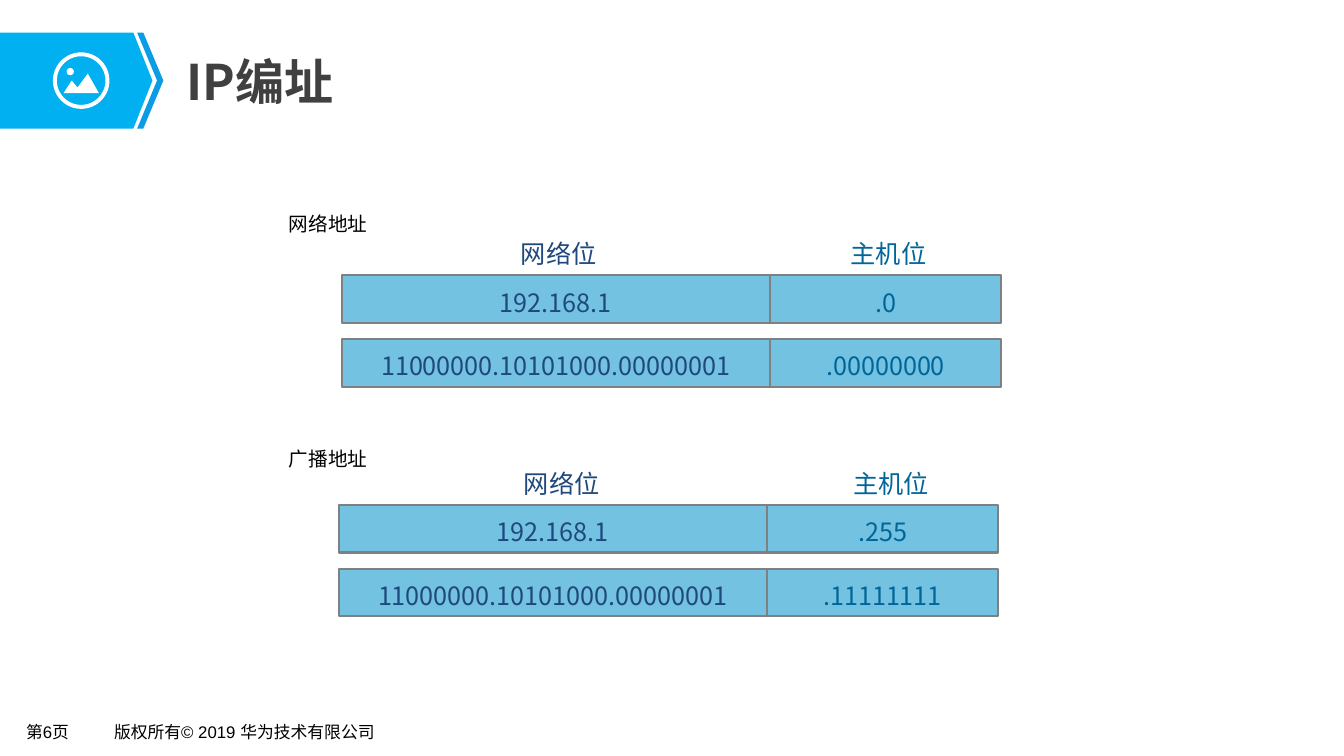
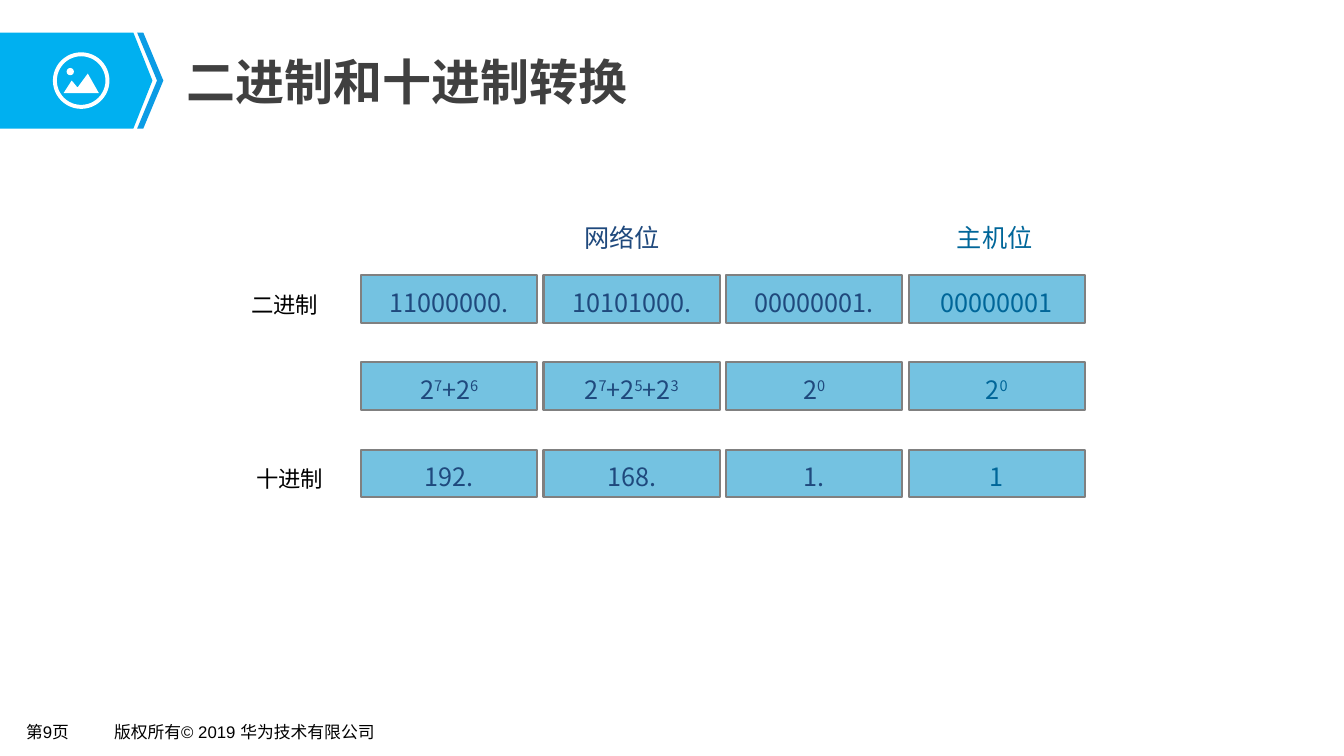
from dataclasses import dataclass

import pptx
import pptx.dml.color
import pptx.enum.shapes
import pptx.enum.text
import pptx.oxml
import pptx.oxml.ns
import pptx.util
from lxml import etree

Pt = pptx.util.Pt
RGBColor = pptx.dml.color.RGBColor
PRESET = pptx.enum.shapes.MSO_SHAPE
ALIGN = pptx.enum.text.PP_ALIGN
ANCHOR = pptx.enum.text.MSO_ANCHOR


@dataclass(frozen=True)
class Theme:
    cjk_font: str = "Noto Sans CJK SC"
    footer_font: str = "Arial"
    black: str = "000000"
    white: str = "FFFFFF"
    title: str = "404040"
    badge: str = "00B0F0"
    badge_edge: str = "0B9CE5"
    network: str = "1F497D"
    host: str = "006699"
    cell: str = "74C2E1"
    cell_line: str = "808080"
    title_size: float = 35
    body_size: float = 18
    row_label_size: float = 16
    caption_size: float = 14
    footer_size: float = 12
    line_spacing: float = 1.2
    cell_height: float = 34


THEME = Theme()


def write_text(shape, text, *, size=THEME.body_size, color=THEME.black,
               font=THEME.cjk_font, bold=False, align=ALIGN.CENTER,
               spacing=None, insets=(7.2, 3.6), wrap=False):
    """Write one paragraph; the character after each ^ becomes superscript."""
    frame = shape.text_frame
    frame.word_wrap = wrap
    frame.vertical_anchor = ANCHOR.MIDDLE
    frame.margin_left = frame.margin_right = Pt(insets[0])
    frame.margin_top = frame.margin_bottom = Pt(insets[1])
    paragraph = frame.paragraphs[0]
    paragraph.alignment = align
    if spacing:
        paragraph.line_spacing = spacing
    first, *powers = text.split("^")
    pieces = [(first, False)]
    for power in powers:
        pieces += [(power[0], True), (power[1:], False)]
    for words, raised in pieces:
        if not words:
            continue
        run = paragraph.add_run()
        run.text = words
        run.font.size = Pt(size)
        run.font.bold = bold
        run.font.name = font
        run.font.color.rgb = RGBColor.from_string(color)
        properties = run.font._element if hasattr(run.font, "_element") else run._r.get_or_add_rPr()
        east_asian = etree.SubElement(properties, pptx.oxml.ns.qn("a:ea"))
        east_asian.set("typeface", THEME.cjk_font)
        if raised:
            properties.set("baseline", "30000")


def add_label(slide, text, left, top, width, height, **text_format):
    label = slide.shapes.add_textbox(Pt(left), Pt(top), Pt(width), Pt(height))
    write_text(label, text, **text_format)


def paint(shape, fill, line=None):
    shape.shadow.inherit = False
    shape.fill.solid()
    shape.fill.fore_color.rgb = RGBColor.from_string(fill)
    if line:
        shape.line.color.rgb = RGBColor.from_string(line)
        shape.line.width = Pt(1.5)
    else:
        shape.line.fill.background()


def add_preset(slide, preset, left, top, width, height, fill, line=None):
    shape = slide.shapes.add_shape(preset, Pt(left), Pt(top), Pt(width), Pt(height))
    paint(shape, fill, line)
    return shape


def add_outline(slide, left, top, points, fill):
    """Fill a polygon whose points are relative to left and top."""
    corners = [(Pt(left + x), Pt(top + y)) for x, y in points]
    builder = slide.shapes.build_freeform(*corners[0], scale=1.0)
    builder.add_line_segments(corners[1:], close=True)
    paint(builder.convert_to_shape(), fill)


def add_cell(slide, text, left, top, width, color):
    cell = add_preset(slide, PRESET.RECTANGLE, left, top, width,
                      THEME.cell_height, THEME.cell, THEME.cell_line)
    write_text(cell, text, color=color, spacing=THEME.line_spacing, wrap=True)


def add_headings(slide, network_center, host_center, top):
    for text, center, color in (("网络位", network_center, THEME.network),
                                ("主机位", host_center, THEME.host)):
        add_label(slide, text, center - 34.5, top, 69, 33, color=color,
                  spacing=THEME.line_spacing)


def add_badge(slide, left, top, height):
    middle = height / 2
    add_outline(slide, left, top,
                [(0, 0), (95.3, 0), (108.9, middle), (95.3, height), (0, height)],
                THEME.badge)
    add_outline(slide, left, top,
                [(102.4, 0), (98, 0), (112.2, middle), (98, height),
                 (102.4, height), (116.7, middle)], THEME.badge_edge)
    ring = add_preset(slide, PRESET.DONUT, left + 37.8, top + middle - 20.2,
                      40.4, 40.4, THEME.white)
    ring.adjustments[0] = 0.07
    add_outline(slide, left + 45.4, top + middle - 5,
                [(0, 14), (5.8, 5), (10, 10), (17.3, 0), (25.2, 14)], THEME.white)
    add_preset(slide, PRESET.OVAL, left + 47.6, top + middle - 9, 5.2, 5.2, THEME.white)


def add_frame(presentation, title, page):
    """Start a slide with the badge, title and footer."""
    slide = presentation.slides.add_slide(presentation.slide_layouts[6])
    for text, left, width in ((f"第{page}页", 12.2, 53),
                              ("版权所有© 2019 华为技术有限公司", 75, 205)):
        add_label(slide, text, left, 512, width, 21, size=THEME.footer_size,
                  font=THEME.footer_font, align=ALIGN.LEFT, insets=(6.5, 3))
    add_badge(slide, 0, 23.3, 68.5)
    add_label(slide, title, 125.3, 32.4, 774, 50.4, size=THEME.title_size,
              color=THEME.title, bold=True, align=ALIGN.LEFT,
              insets=(8, 4), wrap=True)
    return slide


def add_address(slide, caption, rows, left, top, caption_rise, heading_shift):
    """Draw a captioned address split into network and host parts."""
    network_width, host_width, row_pitch = 306, 165, 45.6
    host_left = left + network_width
    add_label(slide, caption, 206, top - caption_rise, 57, 17,
              size=THEME.caption_size, insets=(0, 0))
    add_headings(slide, left + network_width / 2 + heading_shift,
                 host_left + host_width / 2 + heading_shift, top - 34.3)
    for index, (network, host) in enumerate(rows):
        row_top = top + index * row_pitch
        add_cell(slide, network, left, row_top, network_width, THEME.network)
        add_cell(slide, host, host_left, row_top, host_width, THEME.host)


def add_conversion(slide, rows, left, top):
    """Draw one row of octets for each step from binary to decimal."""
    width, column_pitch, row_pitch = 126, 130.4, 62.3
    add_headings(slide, left + 186.5, left + 452.8, top - 45.3)
    for row, (label, label_left, octets) in enumerate(rows):
        row_top = top + row * row_pitch
        if label:
            add_label(slide, label, label_left, row_top + 11, 48, 19.4,
                      size=THEME.row_label_size, insets=(0, 0))
        for column, octet in enumerate(octets):
            color = THEME.host if column == len(octets) - 1 else THEME.network
            add_cell(slide, octet, left + column * column_pitch, row_top, width, color)


def build_addressing(presentation):
    slide = add_frame(presentation, "IP编址", 6)
    network_bits = "11000000.10101000.00000001"
    add_address(slide, "网络地址",
                [("192.168.1", ".0"), (network_bits, ".00000000")],
                left=244.1, top=196.6, caption_rise=45.4, heading_shift=2)
    add_address(slide, "广播地址",
                [("192.168.1", ".255"), (network_bits, ".11111111")],
                left=241.9, top=360.7, caption_rise=41.7, heading_shift=6.3)


def build_conversion(presentation):
    slide = add_frame(presentation, "二进制和十进制转换", 9)
    add_conversion(slide, [
        ("二进制", 179.3, ["11000000.", "10101000.", "00000001.", "00000001"]),
        (None, None, ["2^7+2^6", "2^7+2^5+2^3", "2^0", "2^0"]),
        ("十进制", 182.9, ["192.", "168.", "1.", "1"]),
    ], left=257.8, top=196.6)


def main():
    presentation = pptx.Presentation()
    presentation.slide_width = Pt(960)
    presentation.slide_height = Pt(540)
    build_addressing(presentation)
    build_conversion(presentation)
    presentation.save("out.pptx")


if __name__ == "__main__":
    main()
